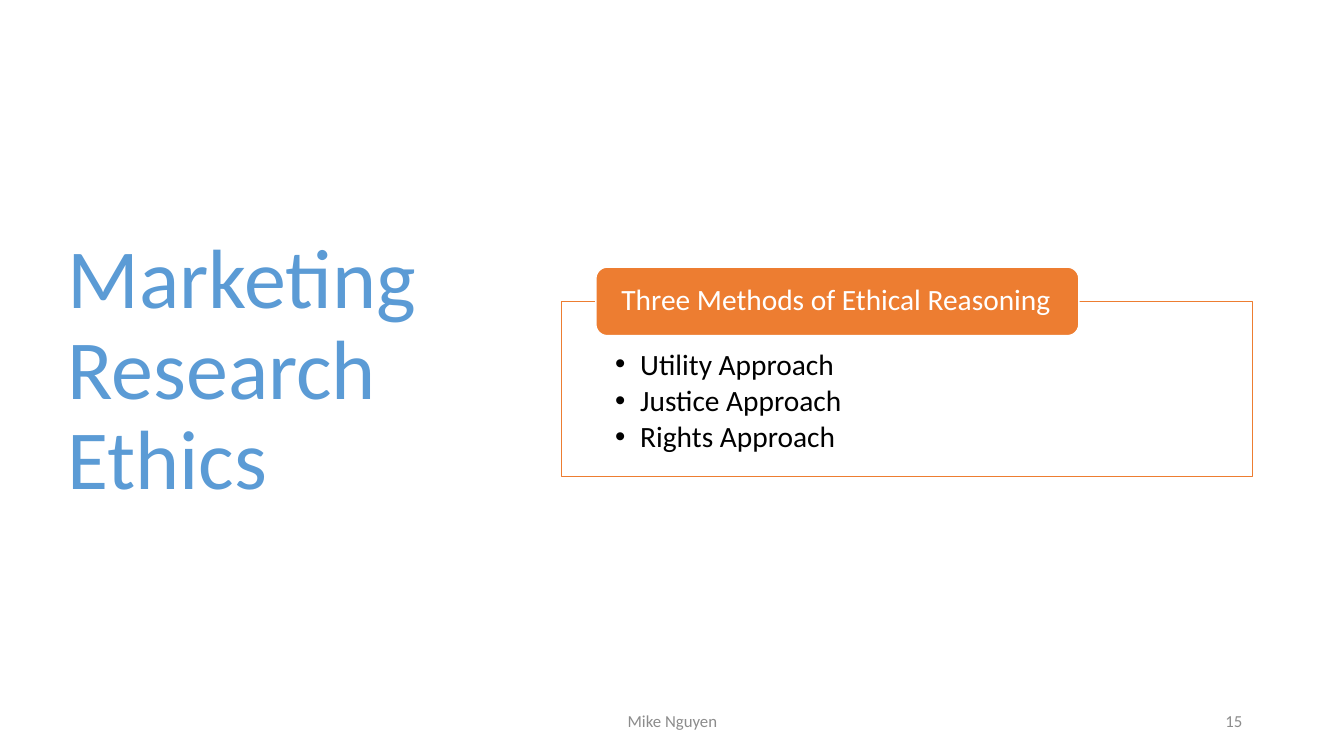
from lxml.etree import SubElement
from pptx import Presentation
from pptx.dml.color import RGBColor
from pptx.enum.shapes import MSO_SHAPE
from pptx.enum.text import MSO_ANCHOR, MSO_AUTO_SIZE, PP_ALIGN
from pptx.oxml.ns import qn
from pptx.util import Inches, Pt

COLORS = {
    "title": "5B9BD5",
    "accent": "ED7D31",
    "white": "FFFFFF",
    "text": "000000",
    "footer": "8C8C8C",
}


def rgb(name):
    return RGBColor.from_string(COLORS[name])


def place(shape, left, top, width, height):
    shape.left, shape.top = Inches(left), Inches(top)
    shape.width, shape.height = Inches(width), Inches(height)


def paint(shape, fill, line):
    shape.fill.solid()
    shape.fill.fore_color.rgb = rgb(fill)
    shape.line.color.rgb = rgb(line)
    shape.line.width = Pt(1)


def add_bullet(paragraph, indent=0.25):
    properties = paragraph._p.get_or_add_pPr()
    properties.set("marL", str(Inches(indent)))
    properties.set("indent", str(Inches(-indent)))
    SubElement(properties, qn("a:buFont"), typeface="Arial")
    SubElement(properties, qn("a:buChar"), char="•")


def write(shape, text, size, color, align=PP_ALIGN.LEFT, anchor=MSO_ANCHOR.MIDDLE,
          insets=(0.1, 0.05, 0.1, 0.05), line_spacing=0.9, space_after=0, bullet=False):
    frame = shape.text_frame
    frame.text = text
    frame.word_wrap = True
    frame.auto_size = MSO_AUTO_SIZE.NONE
    frame.vertical_anchor = anchor
    (frame.margin_left, frame.margin_top,
     frame.margin_right, frame.margin_bottom) = map(Inches, insets)
    for paragraph in frame.paragraphs:
        if bullet:
            add_bullet(paragraph)
        paragraph.alignment = align
        paragraph.line_spacing = line_spacing
        paragraph.space_before = Pt(0)
        paragraph.space_after = Pt(space_after)
        for run in paragraph.runs:
            run.font.name = "Calibri"
            run.font.size = Pt(size)
            run.font.color.rgb = rgb(color)


def add_footer(slide, text, left, width, align):
    footer = slide.shapes.add_textbox(Inches(left), Inches(6.95), Inches(width), Inches(0.4))
    write(footer, text, 12, "footer", align=align, line_spacing=1, space_after=6)


def add_heading(slide, text):
    heading = slide.shapes.add_shape(
        MSO_SHAPE.ROUNDED_RECTANGLE, Inches(5.91), Inches(2.65), Inches(4.79), Inches(0.68))
    heading.shadow.inherit = False
    paint(heading, "accent", "white")
    write(heading, text, 21, "white", insets=(0.22, 0, 0.22, 0))


def main():
    presentation = Presentation()
    presentation.slide_width, presentation.slide_height = Inches(13.33), Inches(7.5)
    slide = presentation.slides.add_slide(presentation.slide_layouts[1])

    title = slide.shapes.title
    place(title, 0.57, 0.68, 4.16, 6.02)
    write(title, "Marketing Research Ethics", 60, "title")

    approaches = slide.placeholders[1]
    place(approaches, 5.57, 2.99, 6.85, 1.74)
    paint(approaches, "white", "accent")
    write(approaches, "Utility Approach\nJustice Approach\nRights Approach", 21, "text",
          anchor=MSO_ANCHOR.TOP, insets=(0.53, 0.48, 0.53, 0.16), space_after=3.15, bullet=True)

    add_heading(slide, "Three Methods of Ethical Reasoning")
    add_footer(slide, "Mike Nguyen", 4.42, 4.5, PP_ALIGN.CENTER)
    add_footer(slide, "15", 9.42, 3, PP_ALIGN.RIGHT)
    presentation.save("out.pptx")


if __name__ == "__main__":
    main()
